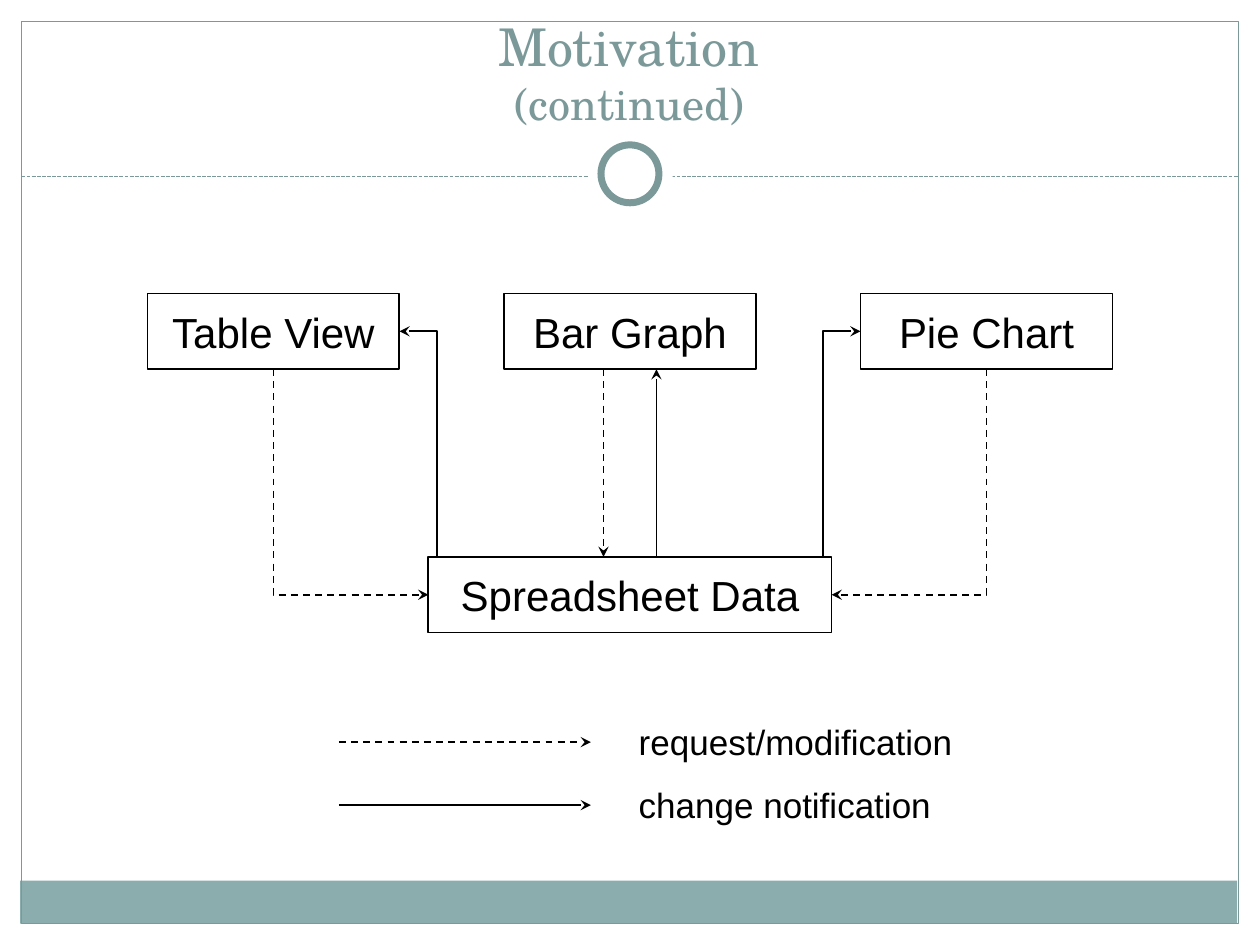
from math import copysign

from lxml import etree
from pptx import Presentation
from pptx.dml.color import RGBColor
from pptx.enum.dml import MSO_LINE
from pptx.enum.shapes import MSO_CONNECTOR, MSO_SHAPE
from pptx.enum.text import MSO_ANCHOR, PP_ALIGN
from pptx.oxml.ns import qn
from pptx.util import Inches, Pt

RECTANGLE, OVAL = MSO_SHAPE.RECTANGLE, MSO_SHAPE.OVAL
STRAIGHT, ELBOW = MSO_CONNECTOR.STRAIGHT, MSO_CONNECTOR.ELBOW
DASH, FINE_DASH = MSO_LINE.DASH, MSO_LINE.SQUARE_DOT
MIDDLE, BOTTOM = MSO_ANCHOR.MIDDLE, MSO_ANCHOR.BOTTOM
CENTER = PP_ALIGN.CENTER
TEAL, PALE_TEAL, WHITE, BLACK = "7C999A", "8CADAE", "FFFFFF", "000000"


def color(value):
    return RGBColor.from_string(value)


def style_line(line, ink, width, dash=None):
    line.color.rgb = color(ink)
    line.width = Pt(width)
    if dash:
        line.dash_style = dash


def add_box(page, kind, frame, fill=None, ink=None, width=1):
    box = page.shapes.add_shape(kind, *map(Inches, frame))
    box.shadow.inherit = False
    if fill:
        box.fill.solid()
        box.fill.fore_color.rgb = color(fill)
    else:
        box.fill.background()
    if ink:
        style_line(box.line, ink, width)
    else:
        box.line.fill.background()
    return box


def write(box, text, size, anchor, wrap=False):
    box.text_frame.word_wrap = wrap
    box.text_frame.vertical_anchor = anchor
    para = box.text_frame.paragraphs[0]
    para.alignment = CENTER
    para.font.name = "Arial"
    para.font.size = Pt(size)
    para.font.color.rgb = color(BLACK)
    para.add_run().text = text


def add_node(page, text, left, top, width):
    box = add_box(page, RECTANGLE, (left, top, width, 0.6), ink=BLACK)
    write(box, text, 24, MIDDLE)


def add_line(page, start, end, ink=BLACK, width=1, dash=None, kind=STRAIGHT):
    line = page.shapes.add_connector(kind, *map(Inches, start + end))
    style_line(line.line, ink, width, dash)
    etree.SubElement(line._element.spPr, qn("a:effectLst"))
    return line


def add_arrow(page, start, end, dash=None, kind=STRAIGHT):
    arrow = add_line(page, start, end, dash=dash, kind=kind)
    tail = etree.SubElement(arrow.line._get_or_add_ln(), qn("a:tailEnd"))
    tail.set("type", "stealth")
    return arrow


def add_corner_arrow(page, start, end, dash=None):
    across, down = end[0] - start[0], end[1] - start[1]
    middle_x, middle_y = (start[0] + end[0]) / 2, (start[1] + end[1]) / 2
    half_width = copysign(down / 2, across)
    half_height = copysign(across / 2, down)
    arrow = add_arrow(page, (middle_x + half_width, middle_y - half_height),
                      (middle_x - half_width, middle_y + half_height), dash, ELBOW)
    properties = arrow._element.spPr
    properties.find(qn("a:prstGeom")).set("prst", "bentConnector2")
    turn = 90 if across * down < 0 else 270
    properties.find(qn("a:xfrm")).set("rot", str(turn * 60000))


def add_title(page):
    box = page.shapes.add_textbox(*map(Inches, (0.33, 0.25, 9.33, 0.83)))
    box.text_frame.word_wrap = True
    box.text_frame.vertical_anchor = BOTTOM
    para = box.text_frame.paragraphs[0]
    para.alignment = CENTER
    para.font.name = "TeX Gyre Schola"
    para.font.color.rgb = color(TEAL)
    for index, (text, size) in enumerate((("Motivation", 29.7), ("(continued)", 25.2))):
        if index:
            para.add_line_break()
        span = para.add_run()
        span.text = text
        span.font.size = Pt(size)


def add_decoration(page):
    add_box(page, RECTANGLE, (0.16, 6.99, 9.66, 0.34), fill=PALE_TEAL)
    add_box(page, RECTANGLE, (0.17, 0.17, 9.66, 7.16), ink=TEAL, width=0.75)
    add_line(page, (0.17, 1.4), (9.83, 1.4), TEAL, 0.75, FINE_DASH)
    add_box(page, OVAL, (4.67, 1.05, 0.67, 0.67), fill=WHITE)
    add_box(page, OVAL, (4.77, 1.15, 0.46, 0.46), fill=WHITE, ink=TEAL, width=4)


def add_diagram(page):
    view_top, data_top = 2.33, 4.42
    view_bottom = view_top + 0.6
    add_node(page, "Spreadsheet Data", 3.4, data_top, 3.2)
    for index, text in enumerate(("Table View", "Bar Graph", "Pie Chart")):
        add_node(page, text, 1.17 + 2.83 * index, view_top, 2)
    for side in (-1, 1):
        add_corner_arrow(page, (5 + side * 2.83, view_bottom),
                         (5 + side * 1.6, data_top + 0.3), DASH)
        add_corner_arrow(page, (5 + side * 1.53, data_top),
                         (5 + side * 1.83, view_top + 0.3))
    add_arrow(page, (4.79, view_bottom), (4.79, data_top), DASH)
    add_arrow(page, (5.21, data_top), (5.21, view_bottom))


def add_legend(page):
    entries = (("request/modification", 2.71, DASH), ("change notification", 2.54, None))
    for index, (text, width, dash) in enumerate(entries):
        middle = 5.89 + 0.5 * index
        add_arrow(page, (2.69, middle), (4.69, middle), dash)
        label = page.shapes.add_textbox(*map(Inches, (4.96, middle - 0.22, width, 0.44)))
        write(label, text, 20, MSO_ANCHOR.TOP)


def main():
    deck = Presentation()
    deck.slide_width, deck.slide_height = Inches(10), Inches(7.5)
    page = deck.slides.add_slide(deck.slide_layouts[6])
    add_decoration(page)
    add_title(page)
    add_diagram(page)
    add_legend(page)
    deck.save("out.pptx")


main()
